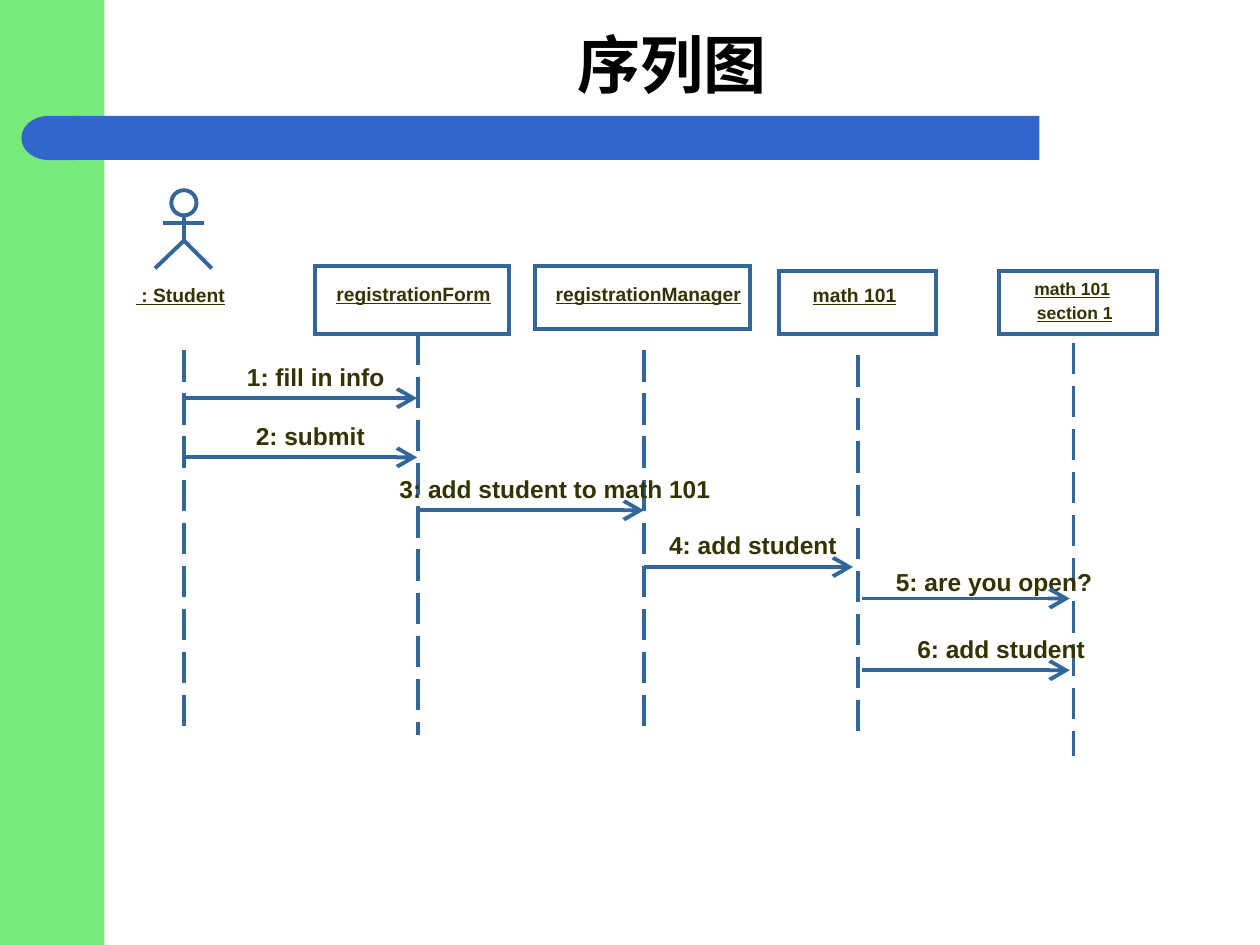
import pptx
import pptx.util
import pptx.dml.color
import pptx.enum.dml
import pptx.enum.shapes
import pptx.enum.text
import pptx.oxml.ns
from lxml import etree

Inches = pptx.util.Inches
Pt = pptx.util.Pt
RGBColor = pptx.dml.color.RGBColor
SHAPE = pptx.enum.shapes.MSO_SHAPE
qn = pptx.oxml.ns.qn

GREEN = RGBColor(0x78, 0xEA, 0x7B)
BLUE = RGBColor(0x33, 0x66, 0xCC)
STEEL = RGBColor(0x33, 0x66, 0x99)
OLIVE = RGBColor(0x33, 0x33, 0x00)
BLACK = RGBColor(0, 0, 0)
LINE_WIDTH = Pt(2.25)
LABEL_SLACK = 0.15  # spare width that keeps each label on one line

# Object boxes: left, top, width, height
OBJECT_BOXES = [
    (2.5, 2.11, 1.54, 0.54),
    (4.25, 2.11, 1.7, 0.5),
    (6.18, 2.15, 1.25, 0.5),
    (7.93, 2.15, 1.25, 0.5),
]
# Object names: text, left, top, text width, size
OBJECT_NAMES = [
    (" : Student", 1.08, 2.25, 0.71, 11),
    ("registrationForm", 2.67, 2.24, 1.25, 11),
    ("registrationManager", 4.41, 2.24, 1.52, 11),
    ("math 101", 6.45, 2.25, 0.67, 11),
    ("math 101", 8.21, 2.21, 0.64, 10),
    ("section 1", 8.23, 2.4, 0.6, 10),
]
# Lifelines: x, top, bottom
LIFELINES = [
    (1.46, 2.78, 5.83),
    (3.32, 2.65, 5.83),
    (5.11, 2.78, 5.83),
    (6.81, 2.82, 5.88),
    (8.52, 2.72, 6),
]
# Messages: text, text left, text top, text width, arrow start, arrow end, arrow y
MESSAGES = [
    ("1: fill in info", 1.96, 2.87, 1.09, 1.46, 3.31, 3.16),
    ("2: submit", 2.03, 3.34, 0.87, 1.46, 3.31, 3.63),
    ("3: add student to math 101", 3.17, 3.76, 2.47, 3.32, 5.11, 4.05),
    ("4: add student", 5.31, 4.21, 1.33, 5.11, 6.77, 4.5),
    ("5: are you open?", 7.11, 4.5, 1.56, 6.84, 8.49, 4.75),
    ("6: add student", 7.28, 5.03, 1.33, 6.84, 8.49, 5.32),
]


def style_outline(shape):
    shape.shadow.inherit = False
    shape.fill.background()
    shape.line.color.rgb = STEEL
    shape.line.width = LINE_WIDTH
    etree.SubElement(shape.line._get_or_add_ln(), qn("a:miter"), lim="800000")


def add_block(slide, kind, left, top, width, height, fill=None):
    """Add a preset shape: filled without a line, or outlined without a fill."""
    shape = slide.shapes.add_shape(
        kind, Inches(left), Inches(top), Inches(width), Inches(height))
    if fill is None:
        style_outline(shape)
    else:
        shape.shadow.inherit = False
        shape.fill.solid()
        shape.fill.fore_color.rgb = fill
        shape.line.fill.background()
    return shape


def add_line(slide, x1, y1, x2, y2):
    line = slide.shapes.add_connector(
        pptx.enum.shapes.MSO_CONNECTOR.STRAIGHT,
        Inches(x1), Inches(y1), Inches(x2), Inches(y2))
    line.line.color.rgb = STEEL
    line.line.width = LINE_WIDTH
    etree.SubElement(line._element.spPr, qn("a:effectLst"))
    return line


def add_arrow(slide, start, end, y):
    arrow = add_line(slide, start, y, end, y)
    etree.SubElement(arrow.line._get_or_add_ln(), qn("a:tailEnd"),
                     type="arrow", w="lg", len="lg")


def add_label(slide, text, left, top, width, size, underline=False):
    height = size / 60
    box = slide.shapes.add_textbox(
        Inches(left), Inches(top), Inches(width + LABEL_SLACK), Inches(height))
    frame = box.text_frame
    frame.margin_left = frame.margin_right = 0
    frame.margin_top = frame.margin_bottom = 0
    frame.word_wrap = True
    frame.auto_size = pptx.enum.text.MSO_AUTO_SIZE.NONE
    frame.text = text
    font = frame.paragraphs[0].runs[0].font
    font.name = "Arial"
    font.size = Pt(size)
    font.bold = True
    font.underline = underline
    font.color.rgb = OLIVE


def add_actor(slide):
    add_block(slide, SHAPE.OVAL, 1.36, 1.51, 0.2, 0.2)
    add_line(slide, 1.46, 1.71, 1.46, 1.91)
    add_line(slide, 1.29, 1.77, 1.62, 1.77)
    builder = slide.shapes.build_freeform(Inches(1.23), Inches(2.13))
    builder.add_line_segments(
        [(Inches(1.46), Inches(1.91)), (Inches(1.68), Inches(2.13))], close=False)
    style_outline(builder.convert_to_shape())


def format_title(title):
    title.left, title.top = Inches(0.92), Inches(0.17)
    title.width, title.height = Inches(8.83), Inches(0.67)
    frame = title.text_frame
    frame.text = "序列图"
    frame.auto_size = pptx.enum.text.MSO_AUTO_SIZE.NONE
    frame.vertical_anchor = pptx.enum.text.MSO_ANCHOR.MIDDLE
    para = frame.paragraphs[0]
    para.alignment = pptx.enum.text.PP_ALIGN.CENTER
    font = para.runs[0].font
    font.name = "Times New Roman"
    font.size = Pt(36)
    font.bold = True
    font.color.rgb = BLACK


def add_decoration(slide):
    add_block(slide, SHAPE.RECTANGLE, 0, 0, 0.83, 7.5, GREEN)
    add_block(slide, SHAPE.RECTANGLE, 0.58, 0.92, 7.67, 0.35, BLUE)
    cap = add_block(slide, SHAPE.FLOWCHART_DELAY, 0.17, 0.92, 0.43, 0.35, BLUE)
    cap.rotation = 180


def main():
    deck = pptx.Presentation()
    deck.slide_width, deck.slide_height = Inches(10), Inches(7.5)
    slide = deck.slides.add_slide(deck.slide_layouts[5])
    format_title(slide.shapes.title)
    add_decoration(slide)
    add_actor(slide)
    for box in OBJECT_BOXES:
        add_block(slide, SHAPE.RECTANGLE, *box)
    for name in OBJECT_NAMES:
        add_label(slide, *name, underline=True)
    for x, top, bottom in LIFELINES:
        lifeline = add_line(slide, x, top, x, bottom)
        lifeline.line.dash_style = pptx.enum.dml.MSO_LINE.LONG_DASH
    for text, left, top, width, start, end, y in MESSAGES:
        add_label(slide, text, left, top, width, 14)
        add_arrow(slide, start, end, y)
    deck.save("out.pptx")


if __name__ == "__main__":
    main()
